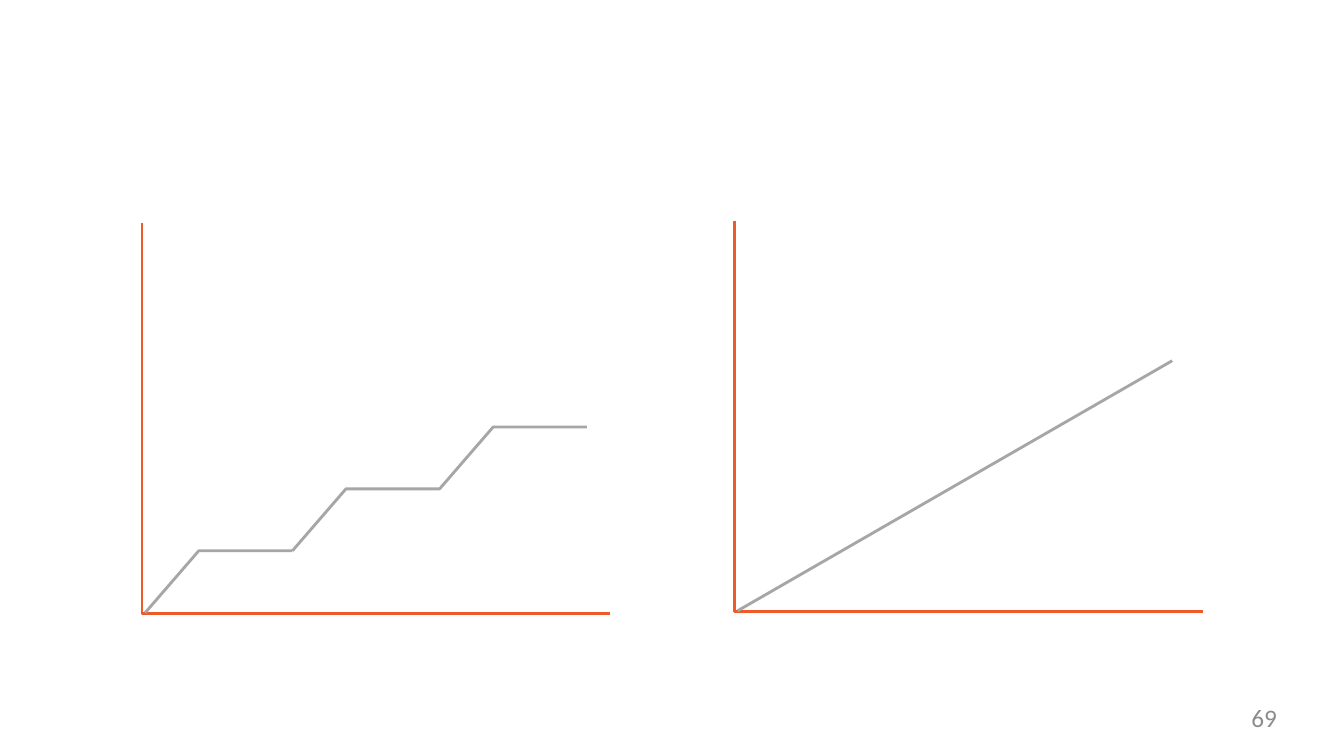
from lxml import etree
from pptx import Presentation
from pptx.dml.color import RGBColor
from pptx.enum.shapes import MSO_CONNECTOR
from pptx.enum.text import PP_ALIGN
from pptx.oxml.ns import qn
from pptx.util import Cm, Pt

STRAIGHT = MSO_CONNECTOR.STRAIGHT
RIGHT = PP_ALIGN.RIGHT

# Content, lengths in cm
AXIS_COLOR, CURVE_COLOR, NUMBER_COLOR = "EF5A28", "A6A6A6", "8C8C8C"
LINE_WIDTH = 2.04
PAGE_NUMBER = "69"
AXIS_WIDTH, AXIS_HEIGHT = 11.79, 9.86
AXIS_ORIGINS = [(3.58, 15.47), (18.52, 15.42)]
STAIR_START = (3.66, 15.44)
RAMP_WIDTH, RAMP_HEIGHT, FLAT_WIDTH = 1.35, 1.56, 2.36
STAIR_RUNS = [1, 2]  # steps in each outline
SLOPE_START, SLOPE_END = (18.59, 15.39), (29.54, 9.09)


def rgb(color):
    return RGBColor.from_string(color)


def style_line(shape, color):
    shape.line.color.rgb = rgb(color)
    shape.line.width = Pt(LINE_WIDTH)


def add_polyline(slide, points, color):
    corners = [(Cm(x), Cm(y)) for x, y in points]
    builder = slide.shapes.build_freeform(*corners[0])
    builder.add_line_segments(corners[1:], close=False)
    shape = builder.convert_to_shape()
    shape.shadow.inherit = False
    shape.fill.background()
    style_line(shape, color)


def add_line(slide, start, end, color):
    connector = slide.shapes.add_connector(
        STRAIGHT, *(Cm(value) for value in start + end))
    style_line(connector, color)
    etree.SubElement(connector._element.spPr, qn("a:effectLst"))


def main():
    presentation = Presentation()
    presentation.slide_width, presentation.slide_height = Cm(33.87), Cm(19.05)
    slide = presentation.slides.add_slide(presentation.slide_layouts[6])

    # Axes of both graphs
    for x, y in AXIS_ORIGINS:
        add_polyline(slide, [(x, y - AXIS_HEIGHT), (x, y), (x + AXIS_WIDTH, y)],
                     AXIS_COLOR)

    # Staircase on the left
    x, y = STAIR_START
    for steps in STAIR_RUNS:
        points = [(x, y)]
        for _ in range(steps):
            x, y = x + RAMP_WIDTH, y - RAMP_HEIGHT
            points.append((x, y))
            x += FLAT_WIDTH
            points.append((x, y))
        add_polyline(slide, points, CURVE_COLOR)

    # Steady slope on the right
    add_line(slide, SLOPE_START, SLOPE_END, CURVE_COLOR)

    # Page number
    box = slide.shapes.add_textbox(Cm(24.38), Cm(17.7), Cm(7.8), Cm(0.97))
    frame = box.text_frame
    frame.word_wrap = True
    frame.margin_left = frame.margin_right = 0
    frame.margin_top = frame.margin_bottom = 0
    paragraph = frame.paragraphs[0]
    paragraph.text = PAGE_NUMBER
    paragraph.alignment = RIGHT
    paragraph.font.name = "Calibri"
    paragraph.font.size = Pt(18)
    paragraph.font.color.rgb = rgb(NUMBER_COLOR)

    presentation.save("out.pptx")


if __name__ == "__main__":
    main()
